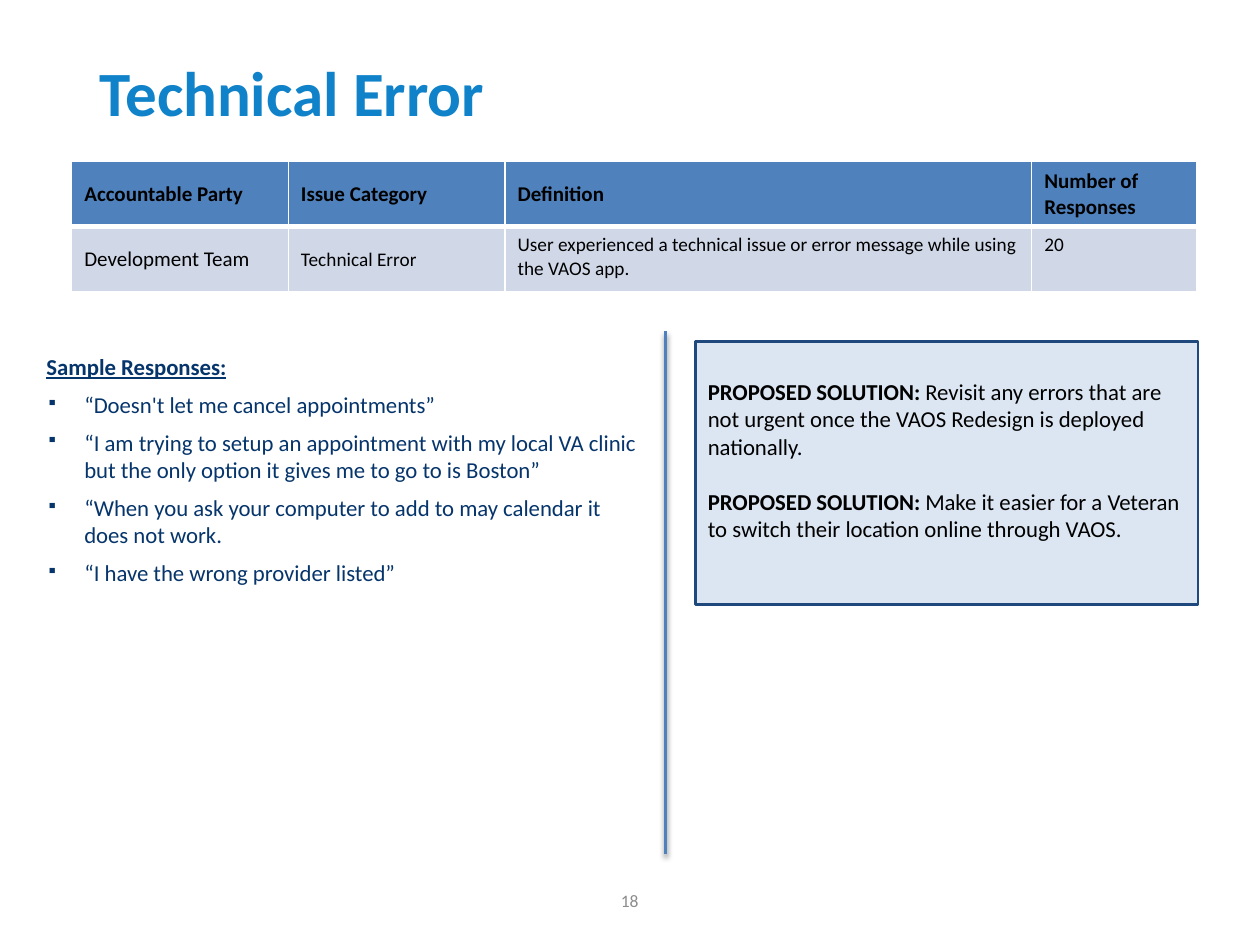
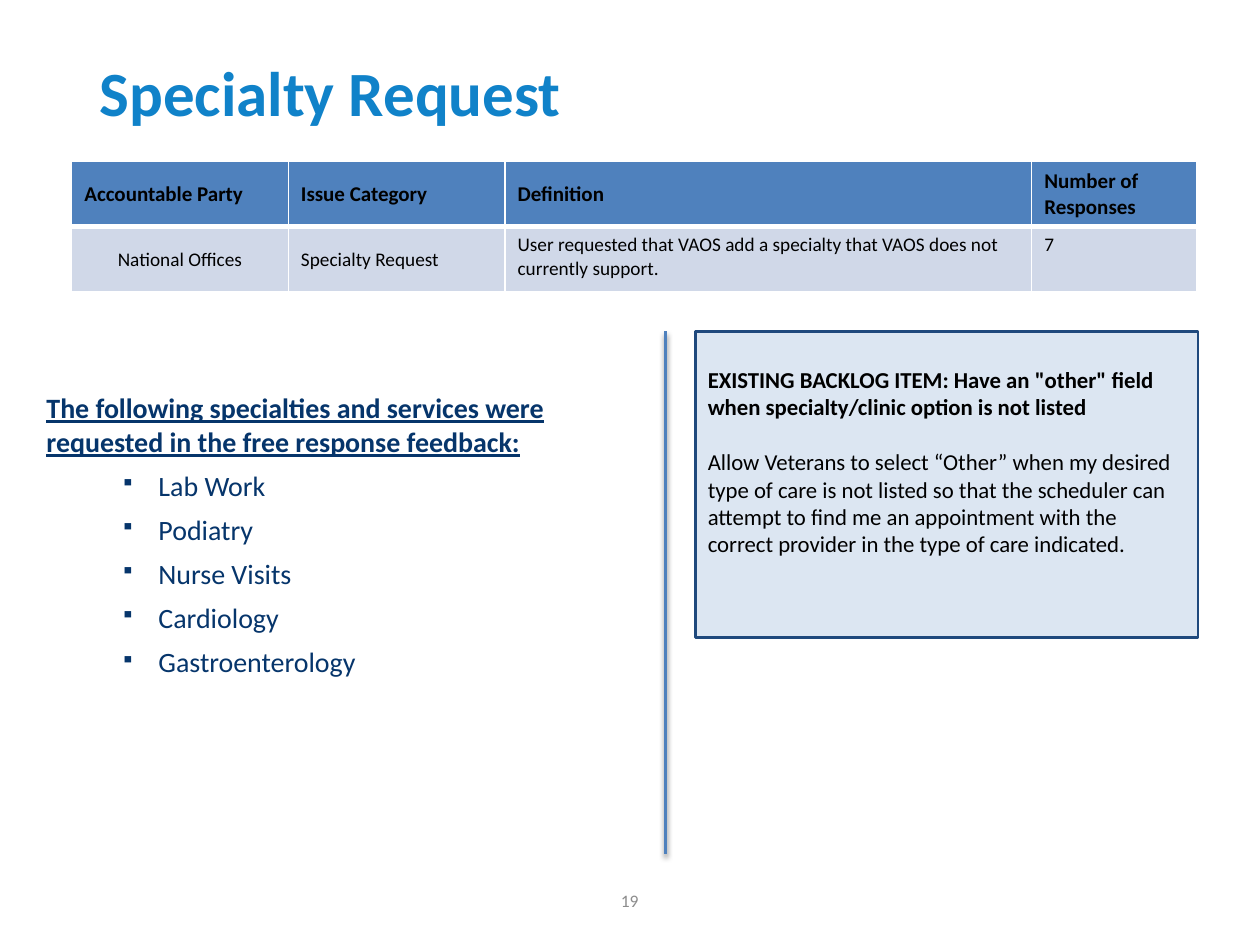
from dataclasses import dataclass

from lxml.etree import SubElement
from pptx import Presentation
from pptx.dml.color import RGBColor
from pptx.enum.shapes import MSO_CONNECTOR as Connector, MSO_SHAPE as Preset
from pptx.enum.text import MSO_ANCHOR as Anchor, PP_ALIGN as Align
from pptx.oxml.ns import qn
from pptx.slide import Slide
from pptx.table import _Cell as Cell
from pptx.text.text import Font
from pptx.util import Pt

FONT = "Calibri"
COLORS = {
    "title": "1082C9",
    "body": "06356B",
    "text": "000000",
    "number": "8C8C8C",
    "header": "4F81BD",
    "row": "D0D8E8",
    "border": "FFFFFF",
    "callout": "DCE6F2",
    "callout line": "1F497D",
    "divider": "4F81BD",
    "shadow": "000000",
}
HEADERS = ("Accountable Party", "Issue Category", "Definition", "Number of Responses")
COLUMN_WIDTHS = (123.8, 123.8, 301, 94.3)
ROW_HEIGHT = 37.4
TABLE_LEFT, TABLE_TOP = 41, 92.2
DIVIDER_X, DIVIDER_TOP, DIVIDER_BOTTOM = 380.2, 189.4, 488.2
BODY_BOTTOM = 500.4
CALLOUT_SIZE = 13
CALLOUT_GAP = 15.9
BULLET_HANG = 21.6


@dataclass(frozen=True)
class Feedback:
    """Left-hand heading with its bulleted list."""
    heading: str
    items: tuple[str, ...]
    top: float
    size: float
    indent: float


@dataclass(frozen=True)
class Callout:
    """Right-hand box; each paragraph is a bold part and a plain part."""
    paragraphs: tuple[tuple[str, str], ...]
    top: float
    height: float
    top_inset: float


@dataclass(frozen=True)
class IssueSlide:
    number: int
    title: str
    party: str
    party_size: float
    party_align: Align
    definition: str
    responses: int
    feedback: Feedback
    callout: Callout


ISSUES = (
    IssueSlide(
        18, "Technical Error", "Development Team", 12, Align.LEFT,
        "User experienced a technical issue or error message while using the VAOS app.", 20,
        Feedback(
            "Sample Responses:",
            (
                "“Doesn't let me cancel appointments”",
                "“I am trying to setup an appointment with my local VA clinic "
                "but the only option it gives me to go to is Boston”",
                "“When you ask your computer to add to may calendar it does not work.",
                "“I have the wrong provider listed”",
            ),
            top=201.6, size=13, indent=21.6,
        ),
        Callout(
            (
                ("PROPOSED SOLUTION: ", "Revisit any errors that are not urgent once "
                 "the VAOS Redesign is deployed nationally."),
                ("PROPOSED SOLUTION: ", "Make it easier for a Veteran to switch their "
                 "location online through VAOS."),
            ),
            top=195.1, height=150.5, top_inset=20.7,
        ),
    ),
    IssueSlide(
        19, "Specialty Request", "National Offices", 11, Align.CENTER,
        "User requested that VAOS add a specialty that VAOS does not currently support.", 7,
        Feedback(
            "The following specialties and services were requested in the free response feedback:",
            ("Lab Work", "Podiatry", "Nurse Visits", "Cardiology", "Gastroenterology"),
            top=223.2, size=16, indent=64,
        ),
        Callout(
            (
                ('EXISTING BACKLOG ITEM: Have an "other" field when specialty/clinic '
                 "option is not listed", ""),
                ("", "Allow Veterans to select “Other” when my desired type of care is not "
                 "listed so that the scheduler can attempt to find me an appointment with "
                 "the correct provider in the type of care indicated."),
            ),
            top=189.4, height=175, top_inset=19.5,
        ),
    ),
)


def rgb(name: str) -> RGBColor:
    return RGBColor.from_string(COLORS[name])


def style(font: Font, size: float, color: str, bold: bool = False) -> None:
    font.name, font.size, font.bold = FONT, Pt(size), bold
    font.color.rgb = rgb(color)


def add_title(slide: Slide, text: str) -> None:
    title = slide.shapes.title
    title.left, title.top, title.width, title.height = Pt(49.7), Pt(13.7), Pt(618.5), Pt(77)
    frame = title.text_frame
    frame.text = text
    frame.vertical_anchor = Anchor.MIDDLE
    paragraph = frame.paragraphs[0]
    paragraph.alignment = Align.LEFT
    style(paragraph.runs[0].font, 36, "title", bold=True)


def add_page_number(slide: Slide, number: int) -> None:
    frame = slide.shapes.add_textbox(Pt(275.8), Pt(500.4), Pt(168), Pt(28.8)).text_frame
    frame.word_wrap = True
    frame.vertical_anchor = Anchor.MIDDLE
    frame.text = str(number)
    paragraph = frame.paragraphs[0]
    paragraph.alignment = Align.CENTER
    style(paragraph.runs[0].font, 10, "number")


def add_feedback(slide: Slide, feedback: Feedback) -> None:
    box = slide.shapes.add_textbox(
        Pt(26.6), Pt(feedback.top), Pt(342.7), Pt(BODY_BOTTOM - feedback.top))
    frame = box.text_frame
    frame.word_wrap = True
    frame.margin_left = frame.margin_top = frame.margin_right = frame.margin_bottom = 0
    frame.text = "\n".join((feedback.heading, *feedback.items))
    for index, paragraph in enumerate(frame.paragraphs):
        is_heading = index == 0
        paragraph.space_after = Pt(6)
        font = paragraph.runs[0].font
        style(font, feedback.size, "body", bold=is_heading)
        font.underline = is_heading
        if not is_heading:
            properties = paragraph._p.get_or_add_pPr()
            properties.set("marL", str(Pt(feedback.indent)))
            properties.set("indent", str(-Pt(BULLET_HANG)))
            SubElement(properties, qn("a:buSzPct"), val="70000")
            SubElement(properties, qn("a:buChar"), char="▪")


def add_callout(slide: Slide, callout: Callout) -> None:
    box = slide.shapes.add_shape(
        Preset.RECTANGLE, Pt(397.4), Pt(callout.top), Pt(287.3), Pt(callout.height))
    box.shadow.inherit = False
    box.fill.solid()
    box.fill.fore_color.rgb = rgb("callout")
    box.line.color.rgb = rgb("callout line")
    box.line.width = Pt(1.5)
    frame = box.text_frame
    frame.word_wrap = True
    frame.vertical_anchor = Anchor.TOP
    frame.margin_top = Pt(callout.top_inset)
    for index, parts in enumerate(callout.paragraphs):
        paragraph = frame.add_paragraph() if index else frame.paragraphs[0]
        paragraph.alignment = Align.LEFT
        if index:
            paragraph.space_before = Pt(CALLOUT_GAP)
        for text, bold in zip(parts, (True, False)):
            if text:
                run = paragraph.add_run()
                run.text = text
                style(run.font, CALLOUT_SIZE, "text", bold)


def set_borders(cell: Cell, top: float, bottom: float) -> None:
    properties = cell._tc.get_or_add_tcPr()
    for side, width in (("L", 1), ("R", 1), ("T", top), ("B", bottom)):
        line = SubElement(properties, qn(f"a:ln{side}"), w=str(Pt(width)))
        fill = SubElement(line, qn("a:solidFill"))
        SubElement(fill, qn("a:srgbClr"), val=COLORS["border"])


def add_issue_table(slide: Slide, issue: IssueSlide) -> None:
    values = (issue.party, issue.title, issue.definition, str(issue.responses))
    table = slide.shapes.add_table(
        2, len(HEADERS), Pt(TABLE_LEFT), Pt(TABLE_TOP),
        Pt(sum(COLUMN_WIDTHS)), Pt(2 * ROW_HEIGHT)).table
    table.horz_banding = False
    for column, width in zip(table.columns, COLUMN_WIDTHS):
        column.width = Pt(width)
    for row_index, texts in enumerate((HEADERS, values)):
        is_header = row_index == 0
        table.rows[row_index].height = Pt(ROW_HEIGHT)
        for column_index, text in enumerate(texts):
            cell = table.cell(row_index, column_index)
            set_borders(cell, *((1, 3) if is_header else (3, 1)))
            cell.fill.solid()
            cell.fill.fore_color.rgb = rgb("header" if is_header else "row")
            is_middle = is_header or column_index < 2
            cell.vertical_anchor = Anchor.MIDDLE if is_middle else Anchor.TOP
            cell.text_frame.text = text
            size = 12 if is_header else 11
            paragraph = cell.text_frame.paragraphs[0]
            if not is_header and column_index == 0:
                size = issue.party_size
                paragraph.alignment = issue.party_align
            style(paragraph.runs[0].font, size, "text", bold=is_header)


def add_divider(slide: Slide) -> None:
    divider = slide.shapes.add_connector(
        Connector.STRAIGHT, Pt(DIVIDER_X), Pt(DIVIDER_TOP), Pt(DIVIDER_X), Pt(DIVIDER_BOTTOM))
    divider.line.color.rgb = rgb("divider")
    divider.line.width = Pt(2)
    effects = SubElement(divider._element.spPr, qn("a:effectLst"))
    shadow = SubElement(
        effects, qn("a:outerShdw"), blurRad=str(Pt(3.1)), dist=str(Pt(1.6)),
        dir="5400000", rotWithShape="0")
    color = SubElement(shadow, qn("a:srgbClr"), val=COLORS["shadow"])
    SubElement(color, qn("a:alpha"), val="38000")


def main() -> None:
    presentation = Presentation()
    presentation.slide_width, presentation.slide_height = Pt(720), Pt(540)
    title_only = presentation.slide_layouts.get_by_name("Title Only")
    for issue in ISSUES:
        slide = presentation.slides.add_slide(title_only)
        add_title(slide, issue.title)
        add_page_number(slide, issue.number)
        add_feedback(slide, issue.feedback)
        add_callout(slide, issue.callout)
        add_issue_table(slide, issue)
        add_divider(slide)
    presentation.save("out.pptx")


if __name__ == "__main__":
    main()
